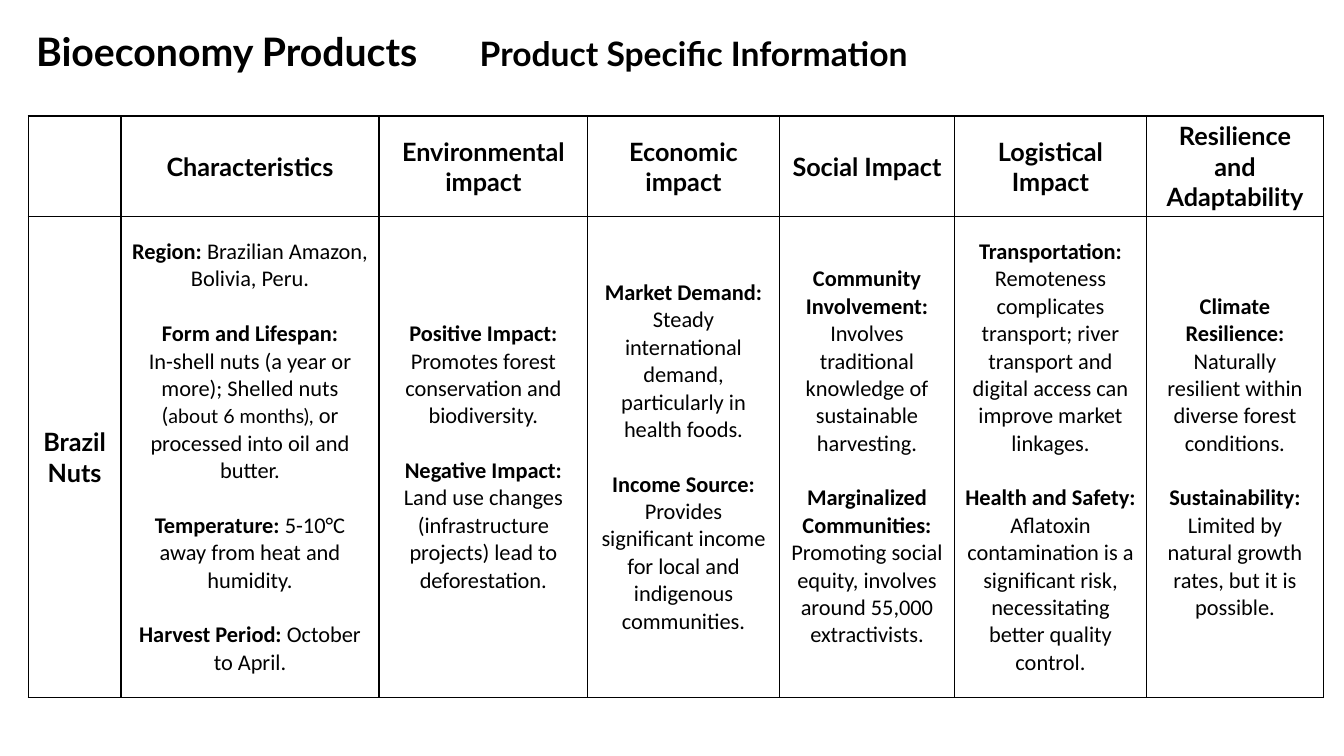
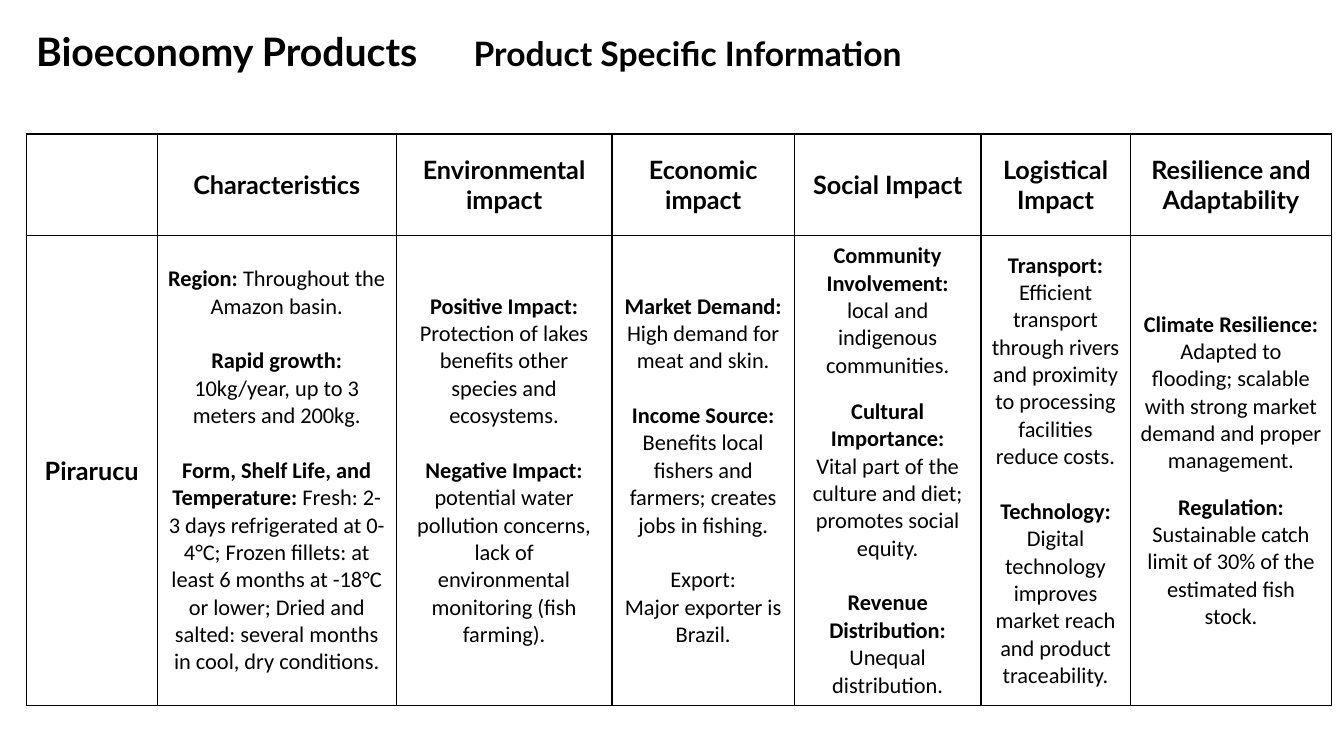
from dataclasses import dataclass

from lxml.etree import SubElement as Sub
from pptx import Presentation as Deck
from pptx.dml.color import RGBColor as Rgb
from pptx.enum.text import MSO_ANCHOR as Anchor, PP_ALIGN as Align
from pptx.oxml.ns import qn
from pptx.util import Inches, Pt

BLACK = Rgb(0, 0, 0)
WHITE = Rgb(255, 255, 255)
LATO = "Lato"
PLAIN = "Calibri"
WIDE = 19.5
TIGHT = 13.4
HEADS = ["", "Characteristics", "Environmental impact", "Economic impact",
         "Social Impact", "Logistical Impact", "Resilience and Adaptability"]


@dataclass
class Note:
    label: str
    body: str
    split: bool = False
    gap: float = WIDE


@dataclass
class Page:
    name: str
    sub_left: float
    left: float
    top: float
    cols: list[float]
    rows: list[float]
    notes: list[list[Note]]


PAGES = [
    Page("Brazil Nuts", 4.66, 0.28, 1.15,
         [0.92, 2.56, 2.07, 1.9, 1.74, 1.9, 1.76], [1, 4.77], [
             [Note("Region:", "Brazilian Amazon, Bolivia, Peru."),
              Note("Form and Lifespan:",
                   "In-shell nuts (a year or more); Shelled nuts "
                   "(|about 6 months), |or processed into oil and butter.", True),
              Note("Temperature:", "5-10°C away from heat and humidity."),
              Note("Harvest Period:", "October to April.")],
             [Note("Positive Impact:",
                   "Promotes forest conservation and biodiversity.", True),
              Note("Negative Impact:",
                   "Land use changes (infrastructure projects) lead to "
                   "deforestation.", True)],
             [Note("Market Demand:",
                   "Steady international demand, particularly in health foods."),
              Note("Income Source:",
                   "Provides significant income for local and indigenous "
                   "communities.")],
             [Note("Community Involvement:",
                   "Involves traditional knowledge of sustainable harvesting."),
              Note("Marginalized Communities:",
                   "Promoting social equity, involves around 55,000 "
                   "extractivists.")],
             [Note("Transportation:",
                   "Remoteness complicates transport; river transport and "
                   "digital access can improve market linkages."),
              Note("Health and Safety:",
                   "Aflatoxin contamination is a significant risk, "
                   "necessitating better quality control.")],
             [Note("Climate Resilience:",
                   "Naturally resilient within diverse forest conditions."),
              Note("Sustainability:",
                   "Limited by natural growth rates, but it is possible.")],
         ]),
    Page("Pirarucu", 4.6, 0.26, 1.33,
         [1.3, 2.37, 2.14, 1.81, 1.85, 1.48, 2], [1.01, 4.66], [
             [Note("Region:", "Throughout the Amazon basin."),
              Note("Rapid growth:", "10kg/year, up to 3 meters and 200kg."),
              Note("Form, Shelf Life, and Temperature:",
                   "Fresh: 2-3 days refrigerated at 0-4°C; Frozen fillets: at "
                   "least 6 months at -18°C or lower; Dried and salted: "
                   "several months in cool, dry conditions.")],
             [Note("Positive Impact:",
                   "Protection of lakes benefits other species and "
                   "ecosystems.", True),
              Note("Negative Impact:",
                   "potential water pollution concerns, lack of environmental "
                   "monitoring (fish farming).", True)],
             [Note("Market Demand:", "High demand for meat and skin."),
              Note("Income Source:",
                   "Benefits local fishers and farmers; creates jobs in fishing."),
              Note("", "Export:"),
              Note("", "Major exporter is Brazil.", gap=0)],
             [Note("Community Involvement:",
                   "local and indigenous communities."),
              Note("Cultural Importance:",
                   "Vital part of the culture and diet; promotes social "
                   "equity.", True, TIGHT),
              Note("Revenue Distribution:", "Unequal distribution.", True)],
             [Note("Transport:",
                   "Efficient transport through rivers and proximity to "
                   "processing facilities reduce costs."),
              Note("Technology:",
                   "Digital technology improves market reach and product "
                   "traceability.")],
             [Note("Climate Resilience:",
                   "Adapted to flooding; scalable with strong market demand "
                   "and proper management."),
              Note("Regulation:",
                   "Sustainable catch limit of 30% of the estimated fish "
                   "stock.", True, TIGHT)],
         ]),
]


def style(run, size: float, face: str = LATO, bold: bool = True) -> None:
    font = run.font
    font.size, font.name, font.bold = Pt(size), face, bold
    font.color.rgb = BLACK


def add_run(para, text: str, size: float, face: str, bold: bool) -> None:
    run = para.add_run()
    run.text = text
    style(run, size, face, bold)


def add_title(slide, text: str, left: float, width: float, size: float):
    box = slide.shapes.add_textbox(Inches(left), Inches(0.28),
                                   Inches(width), Inches(0.5))
    frame = box.text_frame
    frame.word_wrap = True
    frame.text = text
    style(frame.paragraphs[0].runs[0], size)
    return frame


def frame_cell(cell) -> None:
    props = cell._tc.get_or_add_tcPr()
    for side in ("lnL", "lnR", "lnT", "lnB"):
        line = Sub(props, qn(f"a:{side}"), w=str(Pt(1)))
        fill = Sub(line, qn("a:solidFill"))
        Sub(fill, qn("a:srgbClr"), val=str(BLACK))
    cell.fill.solid()
    cell.fill.fore_color.rgb = WHITE
    cell.vertical_anchor = Anchor.MIDDLE


def fill_head(cell, text: str) -> None:
    cell.text_frame.text = text
    para = cell.text_frame.paragraphs[0]
    para.alignment = Align.CENTER
    for run in para.runs:
        style(run, 18)


def fill_notes(cell, notes: list[Note]) -> None:
    frame = cell.text_frame
    for pos, note in enumerate(notes):
        para = frame.add_paragraph() if pos else frame.paragraphs[0]
        if pos and note.gap:
            para.space_before = Pt(note.gap)
        if note.label:
            label = note.label if note.split else note.label + " "
            add_run(para, label, 16, PLAIN, True)
        if note.split:
            para = frame.add_paragraph()
        for part, text in enumerate(note.body.split("|")):
            size, face = (14, LATO) if part % 2 else (16, PLAIN)
            add_run(para, text, size, face, False)
    for para in frame.paragraphs:
        para.alignment = Align.CENTER


def add_grid(slide, page: Page) -> None:
    grid = slide.shapes.add_table(
        len(page.rows), len(page.cols), Inches(page.left), Inches(page.top),
        Inches(sum(page.cols)), Inches(sum(page.rows))).table
    grid.first_row = grid.horz_banding = False
    for col, width in zip(grid.columns, page.cols):
        col.width = Inches(width)
    for row, height in zip(grid.rows, page.rows):
        row.height = Inches(height)
    for cell in grid.iter_cells():
        frame_cell(cell)
    for col, head in enumerate(HEADS):
        fill_head(grid.cell(0, col), head)
    fill_head(grid.cell(1, 0), page.name)
    for col, notes in enumerate(page.notes, 1):
        fill_notes(grid.cell(1, col), notes)


def add_page(deck, page: Page) -> None:
    slide = deck.slides.add_slide(deck.slide_layouts[6])
    title = add_title(slide, "Bioeconomy Products", 0.26, 11.18, 28)
    title.vertical_anchor = Anchor.MIDDLE
    title.paragraphs[0].line_spacing = 0.9
    add_title(slide, "Product Specific Information", page.sub_left, 9.67, 24)
    add_grid(slide, page)


def main() -> None:
    deck = Deck()
    deck.slide_width, deck.slide_height = Inches(13.33), Inches(7.5)
    for page in PAGES:
        add_page(deck, page)
    deck.save("out.pptx")


if __name__ == "__main__":
    main()
